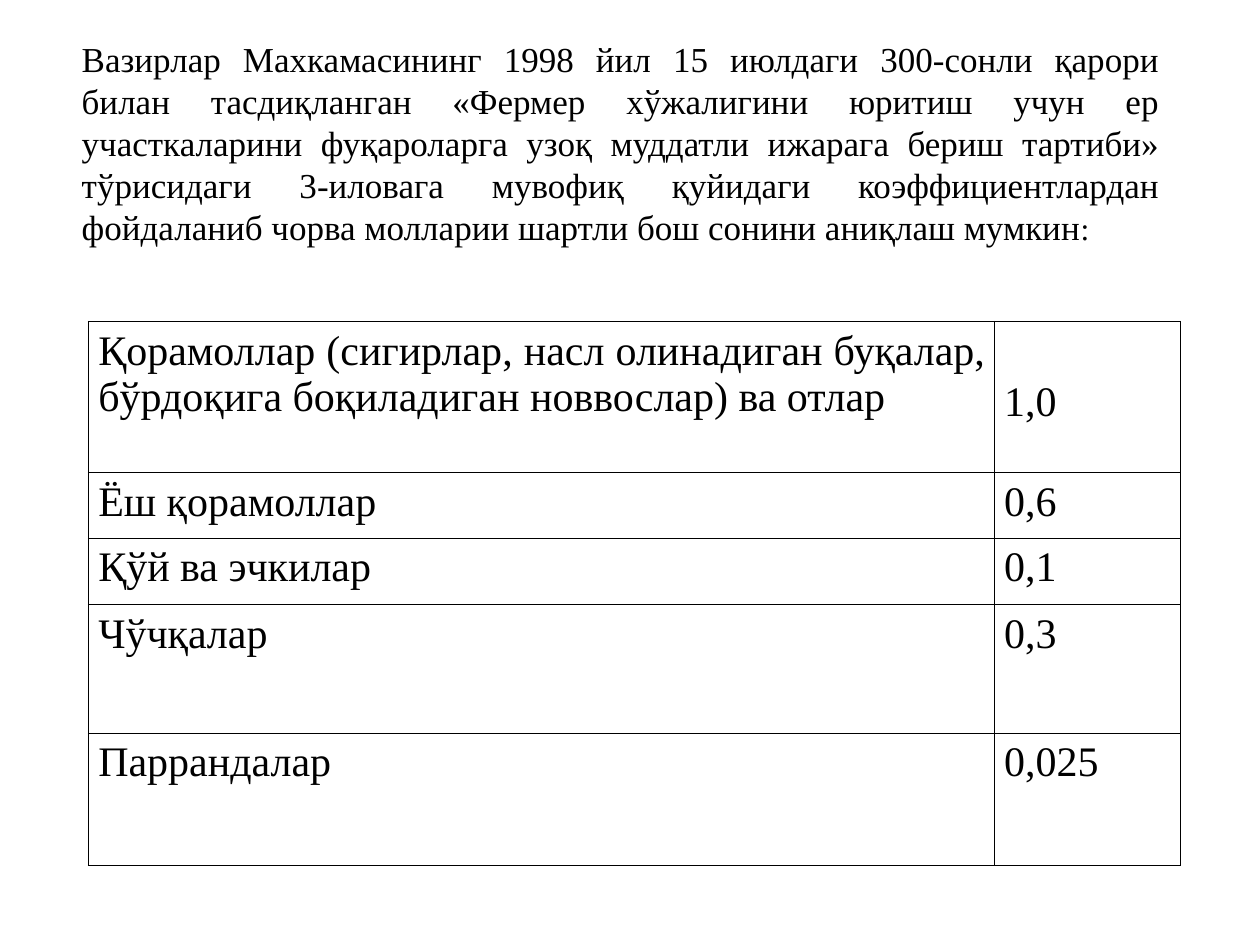
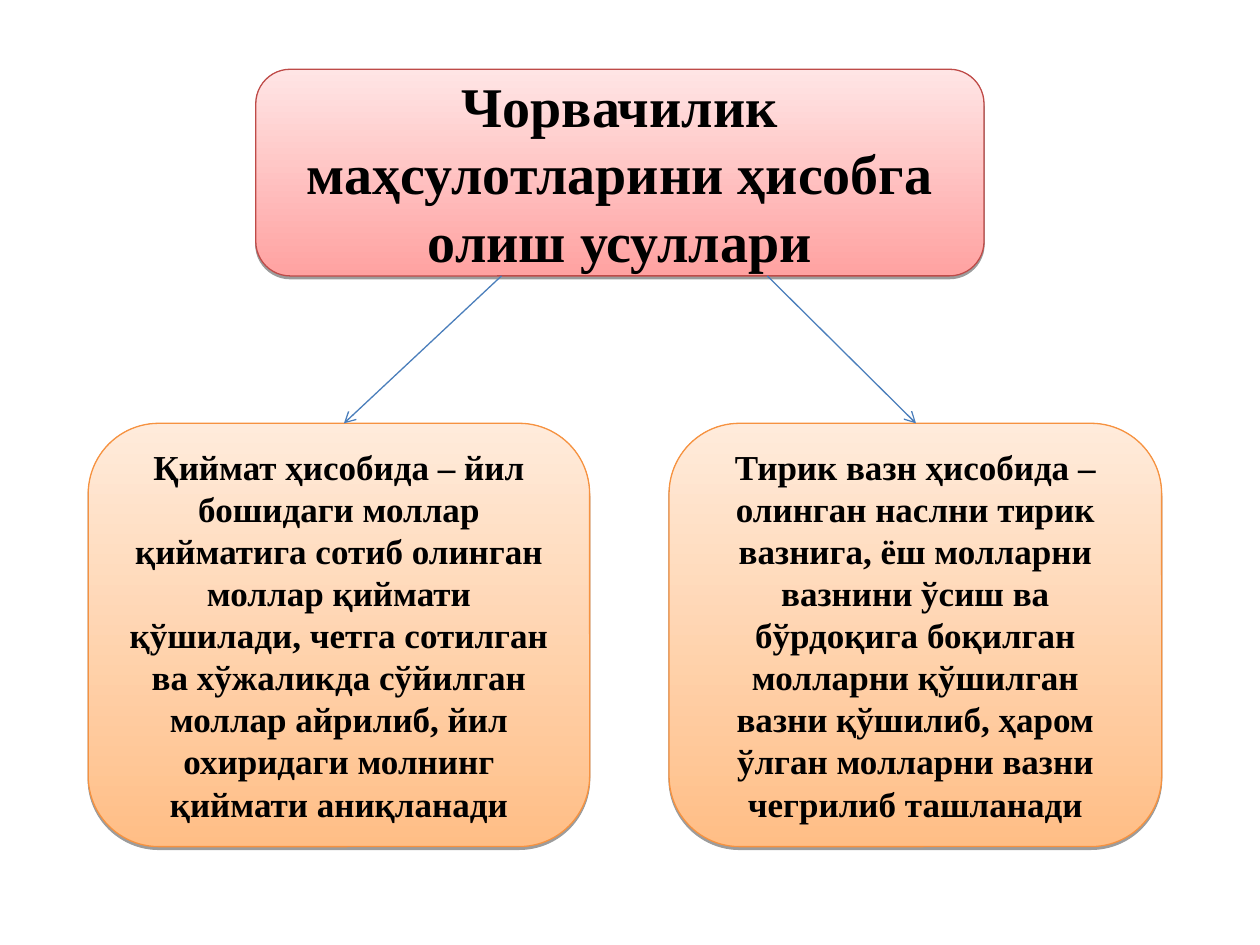
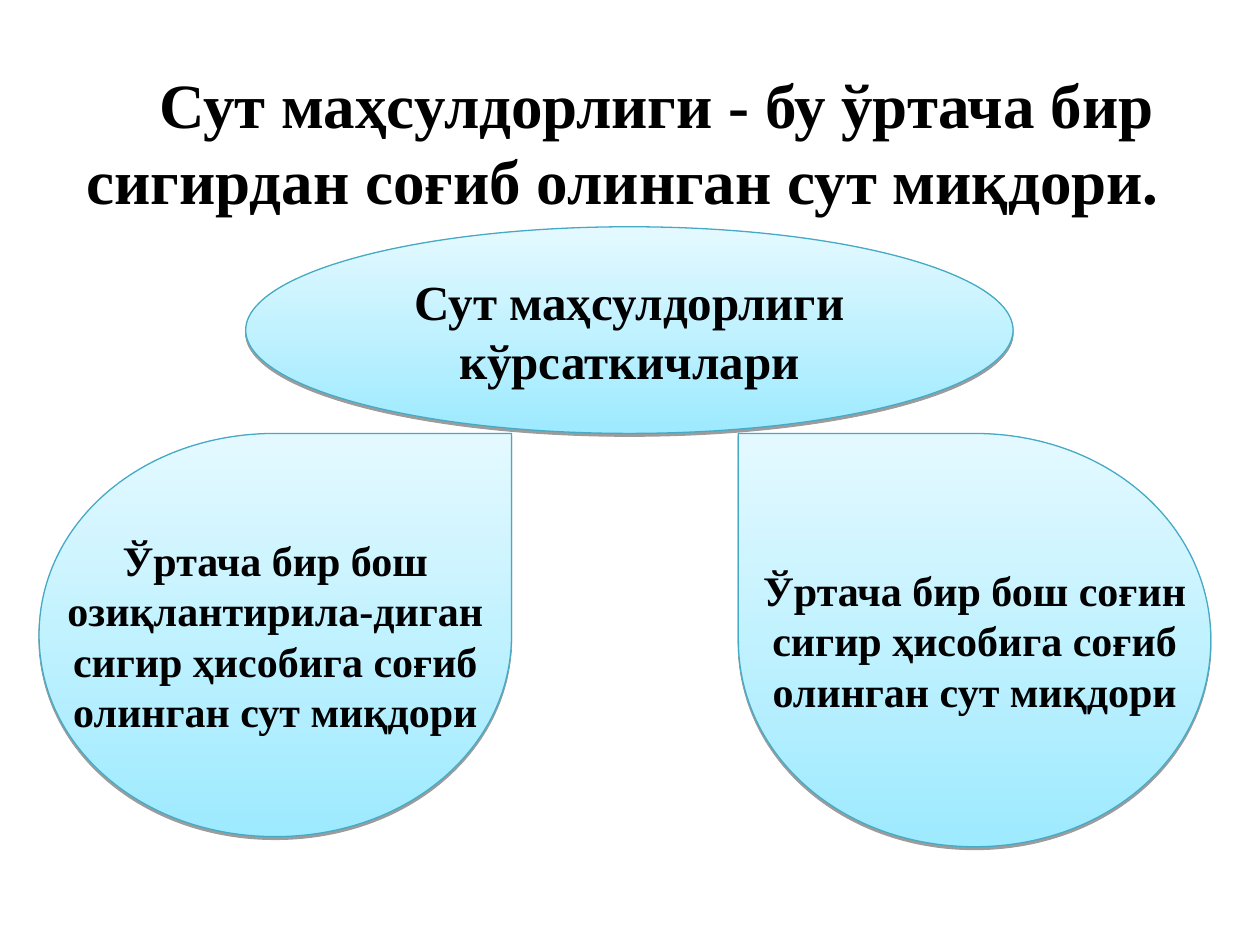
from dataclasses import dataclass

from lxml.etree import SubElement
from pptx import Presentation
from pptx.dml.color import RGBColor
from pptx.enum.shapes import MSO_CONNECTOR, MSO_SHAPE
from pptx.enum.text import MSO_ANCHOR, MSO_AUTO_SIZE, PP_ALIGN
from pptx.oxml.ns import qn
from pptx.util import Inches, Pt


@dataclass(frozen=True)
class Theme:
    font: str = "Times New Roman"
    text: str = "000000"
    arrow: str = "4A7EBB"
    red: tuple = ("FFA2A1", "FFE5E5", "BE4B48")
    orange: tuple = ("FFBE86", "FFEBDB", "F69240")
    aqua: tuple = ("9EEAFF", "E4F9FF", "46AAC5")
    title: int = 36
    heading: int = 32
    subheading: int = 28
    large: int = 24
    body: int = 20
    small: int = 18
    line: float = 0.75
    border: float = 0.45


THEME = Theme()
TITLE_ONLY, BLANK = 5, 6

INTRO = (
    "Вазирлар Махкамасининг 1998 йил 15 июлдаги 300-сонли қарори билан тасдиқланган "
    "«Фермер хўжалигини юритиш учун ер участкаларини фуқароларга узоқ муддатли ижарага "
    "бериш тартиби» тўрисидаги 3-иловага мувофиқ қуйидаги коэффициентлардан фойдаланиб "
    "чорва молларии шартли бош сонини аниқлаш мумкин"
)
COEFFICIENTS = [
    ("Қорамоллар (сигирлар, насл олинадиган буқалар, бўрдоқига боқиладиган новвослар) ва отлар",
     "1,0", 1.2),
    ("Ёш қорамоллар", "0,6", 0.52),
    ("Қўй ва эчкилар", "0,1", 0.53),
    ("Чўчқалар", "0,3", 1.02),
    ("Паррандалар", "0,025", 1.05),
]
COLUMN_WIDTHS = (7.19, 1.48)

METHODS_HEADING = "Чорвачилик маҳсулотларини ҳисобга олиш усуллари"
METHODS = [
    ("Қиймат ҳисобида – йил бошидаги моллар қийматига сотиб олинган моллар қиймати қўшилади, "
     "четга сотилган ва хўжаликда сўйилган моллар айрилиб, йил охиридаги молнинг қиймати аниқланади",
     0.7, 3.98),
    ("Тирик вазн ҳисобида – олинган наслни тирик вазнига, ёш молларни вазнини ўсиш ва бўрдоқига "
     "боқилган молларни қўшилган вазни қўшилиб, ҳаром ўлган молларни вазни чегрилиб ташланади",
     5.31, 3.91),
]
METHOD_ARROWS = [(6.09, 7.27), (3.98, 2.73)]

MILK_TITLE = "Сут маҳсулдорлиги - бу ўртача бир сигирдан соғиб олинган сут миқдори. "
MILK_HEADING = "Сут маҳсулдорлиги кўрсаткичлари"
MILK_INDICATORS = [
    ("Ўртача бир бош озиқлантирила-диган сигир ҳисобига соғиб олинган сут миқдори",
     (0.31, 3.44, 3.75, 3.2), False),
    ("Ўртача бир бош соғин сигир ҳисобига соғиб олинган сут миқдори",
     (5.86, 3.44, 3.75, 3.28), True),
]
DROP_POINTS = [
    (0, 0.5),
    (0, 0.22), (0.22, 0), (0.5, 0),
    (1, 0),
    (1, 0.5),
    (1, 0.78), (0.78, 1), (0.5, 1),
    (0.22, 1), (0, 0.78), (0, 0.5),
]
DROP_CURVE_STARTS = (1, 6, 9)


def color(value):
    return RGBColor.from_string(value)


def format_text(text_frame, size, bold=False, align=PP_ALIGN.CENTER):
    for paragraph in text_frame.paragraphs:
        paragraph.alignment = align
        for run in paragraph.runs:
            run.font.name = THEME.font
            run.font.size = Pt(size)
            run.font.bold = bold
            run.font.color.rgb = color(THEME.text)


def style_shape(shape, text, palette, size):
    bottom, top, outline = palette
    shape.fill.gradient()
    shape.fill.gradient_angle = 90
    for stop, value in zip(shape.fill.gradient_stops, (bottom, top)):
        stop.color.rgb = color(value)
    shape.line.color.rgb = color(outline)
    shape.line.width = Pt(THEME.line)
    shape.shadow.inherit = False
    effects = shape.element.spPr.find(qn("a:effectLst"))
    shadow = SubElement(effects, qn("a:outerShdw"), blurRad="0", dist=str(Pt(1.6)),
                        dir="5400000", rotWithShape="0")
    shadow_color = SubElement(shadow, qn("a:srgbClr"), val=THEME.text)
    SubElement(shadow_color, qn("a:alpha"), val="38000")
    text_frame = shape.text_frame
    text_frame.text = text
    text_frame.word_wrap = True
    text_frame.vertical_anchor = MSO_ANCHOR.MIDDLE
    format_text(text_frame, size, bold=True)


def add_panel(slide, preset, box, text, palette, size):
    shape = slide.shapes.add_shape(preset, *map(Inches, box))
    style_shape(shape, text, palette, size)


def add_drop(slide, box, mirrored, text):
    left, top, width, height = box
    outline = [(Inches(left + width * (1 - x if mirrored else x)), Inches(top + height * y))
               for x, y in DROP_POINTS]
    builder = slide.shapes.build_freeform(*outline[0])
    builder.add_line_segments(outline[1:], close=True)
    shape = builder.convert_to_shape()
    segments = list(next(shape.element.iter(qn("a:path"))))
    for start in DROP_CURVE_STARTS:
        curve, *others = segments[start:start + 3]
        curve.tag = qn("a:cubicBezTo")
        for segment in others:
            curve.append(segment[0])
            segment.getparent().remove(segment)
    style_shape(shape, text, THEME.aqua, THEME.large)


def add_arrow(slide, start, end):
    arrow = slide.shapes.add_connector(MSO_CONNECTOR.STRAIGHT, *map(Inches, start + end))
    arrow.line.color.rgb = color(THEME.arrow)
    arrow.line.width = Pt(THEME.line)
    SubElement(arrow.line._get_or_add_ln(), qn("a:tailEnd"), type="arrow")
    SubElement(arrow._element.spPr, qn("a:effectLst"))


def format_cell(cell, text):
    cell.text = text
    cell.margin_left, cell.margin_right = Inches(0.08), Inches(0.07)
    cell.margin_top = cell.margin_bottom = Inches(0.05)
    format_text(cell.text_frame, THEME.large, align=PP_ALIGN.JUSTIFY)
    properties = cell._tc.get_or_add_tcPr()
    for side in ("lnL", "lnR", "lnT", "lnB"):
        border = SubElement(properties, qn(f"a:{side}"), w=str(Pt(THEME.border)))
        SubElement(SubElement(border, qn("a:solidFill")), qn("a:srgbClr"), val=THEME.text)
    cell.fill.background()


def build_coefficients(slide):
    heights = [height for _, _, height in COEFFICIENTS]
    frame = slide.shapes.add_table(len(COEFFICIENTS), len(COLUMN_WIDTHS), Inches(0.7), Inches(2.55),
                                   Inches(sum(COLUMN_WIDTHS)), Inches(sum(heights)))
    table = frame.table
    table.first_row = table.horz_banding = False
    for column, width in zip(table.columns, COLUMN_WIDTHS):
        column.width = Inches(width)
    for row, (animal, coefficient, height) in zip(table.rows, COEFFICIENTS):
        row.height = Inches(height)
        for cell, text in zip(row.cells, (animal, coefficient)):
            format_cell(cell, text)
    table.cell(0, 1).margin_top = Inches(0.46)

    intro = slide.shapes.add_textbox(*map(Inches, (0.55, 0.24, 8.75, 2.07))).text_frame
    intro.word_wrap = True
    intro.margin_top = Inches(0.06)
    intro.text = INTRO
    intro.paragraphs[0].add_run().text = ":"
    format_text(intro, THEME.body, align=PP_ALIGN.JUSTIFY)
    intro.paragraphs[0].runs[-1].font.size = Pt(THEME.small)


def build_methods(slide):
    add_panel(slide, MSO_SHAPE.ROUNDED_RECTANGLE, (2.03, 0.55, 5.78, 1.64),
              METHODS_HEADING, THEME.red, THEME.heading)
    for text, left, width in METHODS:
        add_panel(slide, MSO_SHAPE.ROUNDED_RECTANGLE, (left, 3.36, width, 3.36),
                  text, THEME.orange, THEME.body)
    for start, end in METHOD_ARROWS:
        add_arrow(slide, (start, 2.19), (end, 3.36))


def build_milk(slide):
    title = slide.shapes.title
    title.left, title.top, title.width, title.height = map(Inches, (0.5, 0.47, 9, 6.23))
    text_frame = title.text_frame
    text_frame.text = MILK_TITLE
    text_frame.word_wrap = True
    text_frame.auto_size = MSO_AUTO_SIZE.NONE
    text_frame.vertical_anchor = MSO_ANCHOR.TOP
    format_text(text_frame, THEME.title, bold=True)
    paragraph = text_frame.paragraphs[0]
    paragraph.space_before = Pt(9)
    properties = paragraph._p.get_or_add_pPr()
    properties.set("marL", str(Inches(0.01)))
    properties.set("indent", str(Inches(0.41)))
    add_panel(slide, MSO_SHAPE.OVAL, (1.95, 1.8, 6.09, 1.64),
              MILK_HEADING, THEME.aqua, THEME.subheading)
    for text, box, mirrored in MILK_INDICATORS:
        add_drop(slide, box, mirrored, text)


def main():
    presentation = Presentation()
    presentation.slide_width, presentation.slide_height = Inches(10), Inches(7.5)
    for layout, build in ((BLANK, build_coefficients), (BLANK, build_methods),
                          (TITLE_ONLY, build_milk)):
        build(presentation.slides.add_slide(presentation.slide_layouts[layout]))
    presentation.save("out.pptx")


if __name__ == "__main__":
    main()
